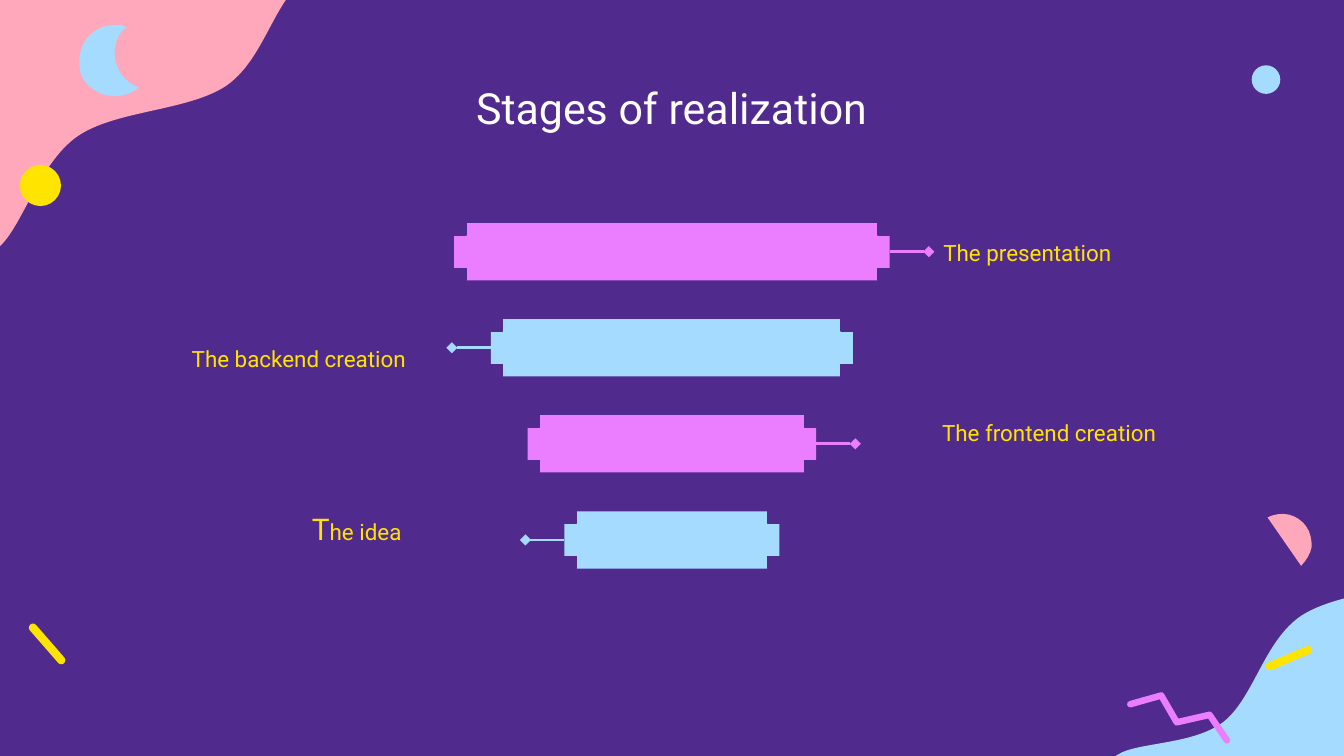
from math import cos, radians, sin

from lxml import etree
from pptx import Presentation
from pptx.dml.color import RGBColor
from pptx.enum.shapes import MSO_CONNECTOR, MSO_SHAPE
from pptx.enum.text import MSO_ANCHOR, PP_ALIGN
from pptx.oxml.ns import qn
from pptx.util import Pt

COLORS = {
    "purple": "512A8E", "pink": "FFA7BB", "blue": "A5DBFF",
    "yellow": "FFE400", "violet": "EB7DFF", "white": "FFFFFF",
}
FONT = "Roboto"
LEFT, RIGHT = 1, 3  # connection sites of a rectangle

# Outlines: a start point, then segments: two controls and an end, or only an end
WAVE = [
    [(-28.8, 137.5)],
    [(-25.9, 168.5), (-12.2, 143.3), (-0.7, 132.5)],
    [(11.5, 122.4), (20.9, 87.8), (41, 73.4)],
    [(61.2, 59), (100.1, 59.8), (121, 46.1)],
    [(141.1, 32.4), (146.2, 2.2), (162.7, -10.8)],
    [(178.6, -23), (208.8, -21.6), (218.9, -28.1)],
    [(229.7, -35.3), (264.2, -46.8), (224.6, -51.1)],
    [(185.8, -54.7), (25.2, -84.2), (-16.6, -53.3)],
    [(-59, -21.6), (-31.7, 106.6), (-28.8, 137.5)],
]
MOON = [
    [(43.2, 27.4)],
    [(44.6, 20.9), (50.4, 15.1), (57.6, 13.7)],
    [(61.2, 13), (64.8, 13), (67.7, 14.4)],
    [(64.8, 16.6), (62.6, 20.2), (61.9, 23.8)],
    [(61.2, 26.6), (61.2, 29.5), (61.9, 32.4)],
    [(63.4, 39.6), (68.4, 44.6), (74.2, 46.8)],
    [(72, 49), (69.1, 50.4), (65.5, 51.1)],
    [(55.4, 53.3), (44.6, 46.8), (42.5, 36.7)],
    [(42.5, 33.1), (42.5, 30.2), (43.2, 27.4)],
]
HALF_DISC = [
    [(702.7, 293)],
    [(702.7, 289.4), (702, 285.1), (699.8, 282.2)],
    [(694.8, 275), (686.2, 273.6), (679, 277.2)],
    [(697, 303.1)],
    [(699.8, 300.2), (702, 296.6), (702.7, 293)],
]
ZIGZAG = [(605.5, 377.3), (622.1, 372.6), (630.4, 387), (648, 383), (657.3, 396.7)]


def rgb(name):
    return RGBColor.from_string(COLORS[name])


def paint(shape, color):
    shape.shadow.inherit = False
    shape.fill.solid()
    shape.fill.fore_color.rgb = rgb(color)
    shape.line.fill.background()
    return shape


def add_preset(page, kind, box, color):
    return paint(page.shapes.add_shape(kind, *map(Pt, box)), color)


def add_path(page, points, close):
    corners = [(Pt(x), Pt(y)) for x, y in points]
    builder = page.shapes.build_freeform(*corners[0], scale=1.0)
    builder.add_line_segments(corners[1:], close=close)
    return builder.convert_to_shape()


def add_curved(page, outline, box, color, angle=0):
    """Fill an outline given as it lies on the page, in a box turned by angle."""
    left, top, width, height = box
    turn = radians(-angle)
    shape = paint(add_path(page, [segment[-1] for segment in outline], True), color)
    shape.left, shape.top, shape.width, shape.height = map(Pt, box)
    shape.rotation = angle
    track = next(shape._element.iter(qn("a:path")))
    track.set("w", str(Pt(width)))
    track.set("h", str(Pt(height)))
    for child in list(track):
        track.remove(child)
    for index, segment in enumerate(outline):
        curve = "cubicBezTo" if len(segment) == 3 else "lnTo"
        step = etree.SubElement(track, qn(f"a:{curve if index else 'moveTo'}"))
        for x, y in segment:
            dx, dy = x - left - width / 2, y - top - height / 2
            local_x = width / 2 + dx * cos(turn) - dy * sin(turn)
            local_y = height / 2 + dx * sin(turn) + dy * cos(turn)
            etree.SubElement(step, qn("a:pt"), x=str(Pt(local_x)), y=str(Pt(local_y)))
    etree.SubElement(track, qn("a:close"))
    return shape


def add_strip(page, box, angle):
    strip = add_preset(page, MSO_SHAPE.ROUNDED_RECTANGLE, box, "yellow")
    strip.adjustments[0] = 0.5
    strip.rotation = angle


def add_zigzag(page):
    zigzag = add_path(page, ZIGZAG, False)
    zigzag.shadow.inherit = False
    zigzag.fill.background()
    zigzag.line.color.rgb = rgb("violet")
    zigzag.line.width = Pt(3.5)
    stroke = zigzag.line._get_or_add_ln()
    stroke.set("cap", "rnd")
    etree.SubElement(stroke, qn("a:round"))


def add_decoration(page, width, height):
    wave_box = (-40.3, -67.7, 283, 219.6)
    add_curved(page, WAVE, wave_box, "pink")
    wave = add_curved(page, WAVE, wave_box, "blue")
    wave.rotation = 180
    wave.left = Pt(width + 98) - wave.left - wave.width
    wave.top = Pt(height - 29) - wave.top - wave.height
    add_preset(page, MSO_SHAPE.OVAL, (10.7, 88.4, 22, 22), "yellow")
    add_zigzag(page)
    add_curved(page, HALF_DISC, (676.8, 276.8, 27.4, 24.5), "pink", 96.6)
    add_strip(page, (677.2, 350.4, 26.6, 4.4), -23)
    add_curved(page, MOON, (38.9, 15.8, 41, 35.3), "blue", 285)
    add_strip(page, (11.5, 342.8, 27.5, 4.4), 49)
    add_preset(page, MSO_SHAPE.OVAL, (670.6, 35, 15.3, 15.3), "blue")


def add_text(page, box, spans, color, align):
    """Add one line of text; spans are pairs of wording and size."""
    frame = page.shapes.add_textbox(*map(Pt, box)).text_frame
    frame.word_wrap = True
    frame.vertical_anchor = MSO_ANCHOR.MIDDLE
    frame.margin_left = frame.margin_right = Pt(7.2)
    frame.margin_top = frame.margin_bottom = Pt(7.2)
    para = frame.paragraphs[0]
    para.alignment = align
    for wording, size in spans:
        span = para.add_run()
        span.text = wording
        span.font.name = FONT
        span.font.size = Pt(size)
        span.font.color.rgb = rgb(color)


def add_notched_bar(page, box, color):
    left, top, width, height = box
    bar = add_preset(page, MSO_SHAPE.RECTANGLE, box, color)
    notch = 6.4
    for x in (left, left + width - notch):
        for y in (top, top + height - notch):
            corner = add_preset(page, MSO_SHAPE.RECTANGLE, (x, y, notch, notch), "purple")
            corner.line.color.rgb = rgb("purple")
            corner.line.width = Pt(0.75)
    return bar


def add_pointer(page, bar, box, side, color):
    left, top, width, height = box
    start = left + width if side == RIGHT else left
    end = start + 20.9 if side == RIGHT else start - 20.9
    middle = Pt(top + height / 2)
    pointer = page.shapes.add_connector(
        MSO_CONNECTOR.STRAIGHT, Pt(start), middle, Pt(end), middle)
    pointer.begin_connect(bar, side)
    pointer.line.color.rgb = rgb(color)
    pointer.line.width = Pt(1.5)
    etree.SubElement(pointer.line._get_or_add_ln(), qn("a:tailEnd"), type="diamond")
    etree.SubElement(pointer._element.spPr, qn("a:effectLst"))


def add_funnel(page, box):
    """Stack centred bars that narrow downwards, each with a label at one side."""
    left, top, width, height = box
    stages = [
        ([("The presentation", 12)], (498.3, 120.5)),
        ([("The backend creation", 12)], (59, 177.1)),
        ([("The frontend creation", 12)], (497.6, 216.7)),
        ([("T", 16), ("he idea", 12)], (56.6, 268.6)),
    ]
    bar_height = 30.7
    pitch = (height - bar_height) / (len(stages) - 1)
    for index, (spans, place) in enumerate(stages):
        inset = 19.7 * index
        bar_box = (left + inset, top + pitch * index, width - 2 * inset, bar_height)
        color, side, align = (
            ("blue", LEFT, PP_ALIGN.RIGHT) if index % 2
            else ("violet", RIGHT, PP_ALIGN.LEFT))
        bar = add_notched_bar(page, bar_box, color)
        add_pointer(page, bar, bar_box, side, color)
        add_text(page, (*place, 165.6, 29.5), spans, "yellow", align)


def main():
    width, height = 720, 405
    deck = Presentation()
    deck.slide_width, deck.slide_height = Pt(width), Pt(height)
    page = deck.slides.add_slide(deck.slide_layouts[6])
    page.background.fill.solid()
    page.background.fill.fore_color.rgb = rgb("purple")
    add_decoration(page, width, height)
    add_text(page, (56.7, 35.1, 606.6, 45.1), [("Stages of realization", 23)],
             "white", PP_ALIGN.CENTER)
    add_funnel(page, (243.3, 119.5, 233.4, 185.1))
    deck.save("out.pptx")


if __name__ == "__main__":
    main()
